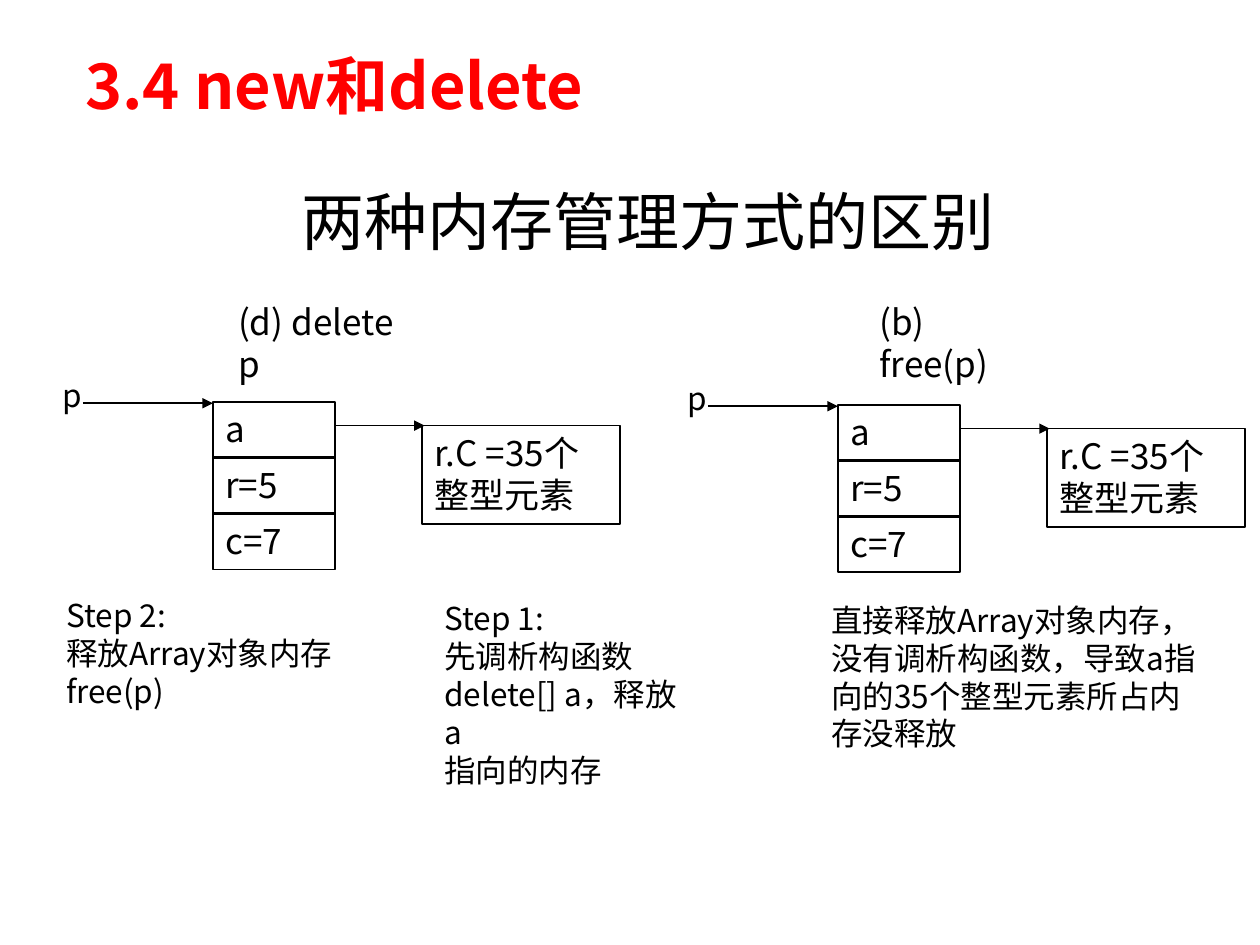
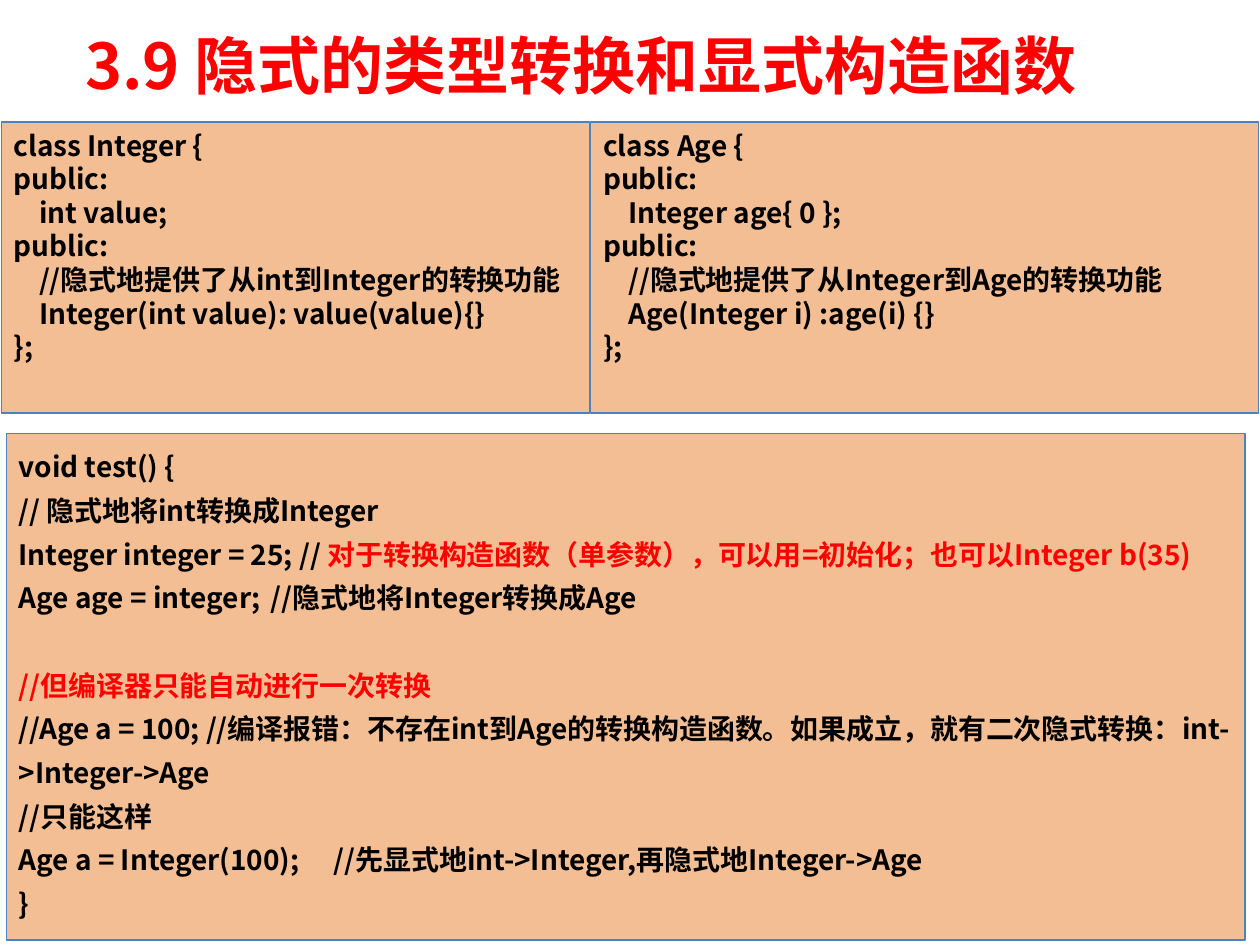
from dataclasses import dataclass

from lxml import etree
from pptx import Presentation
from pptx.dml.color import RGBColor
from pptx.enum.shapes import MSO_CONNECTOR, MSO_SHAPE
from pptx.enum.text import MSO_ANCHOR, PP_ALIGN
from pptx.oxml.ns import qn
from pptx.util import Cm, Pt

RECTANGLE = MSO_SHAPE.RECTANGLE
STRAIGHT = MSO_CONNECTOR.STRAIGHT
TOP, MIDDLE = MSO_ANCHOR.TOP, MSO_ANCHOR.MIDDLE
LEFT, CENTER = PP_ALIGN.LEFT, PP_ALIGN.CENTER


@dataclass(frozen=True)
class Theme:
    black: RGBColor = RGBColor(0x00, 0x00, 0x00)
    red: RGBColor = RGBColor(0xFF, 0x00, 0x00)
    code_fill: RGBColor = RGBColor(0xE4, 0x6C, 0x0A)
    code_line: RGBColor = RGBColor(0x4F, 0x81, 0xBD)
    code_opacity: int = 44
    title_font: str = "Noto Sans CJK SC"
    body_font: str = "Noto Sans CJK JP"
    heading: int = 36
    cell: int = 20
    note: int = 18
    code: int = 16


@dataclass(frozen=True)
class Red:
    """Marks a span of text to be shown in red."""
    text: str


class SlideBuilder:
    def __init__(self, deck, theme):
        self.deck = deck
        self.theme = theme
        self.page = None

    def new_page(self, title, title_top):
        self.page = self.deck.slides.add_slide(self.deck.slide_layouts[6])
        self.text((1.47, title_top, 21.59, 2.34), [title], self.theme.heading,
                  font=self.theme.title_font, color=self.theme.red, bold=True,
                  anchor=MIDDLE)

    def set_lines(self, shape, lines, size, font=None, color=None, bold=False,
                  anchor=TOP, align=LEFT, spacing=None, wrap=True):
        """Fill a shape; a line is a string, a Red, or a list of both.

        An empty line becomes space before the paragraph that follows it.
        """
        frame = shape.text_frame
        frame.word_wrap = wrap
        frame.vertical_anchor = anchor
        para, gap = frame.paragraphs[0], 0
        for index, line in enumerate(lines):
            if not line:
                gap += 1.2 * size * (spacing or 1)
                continue
            if index:
                para = frame.add_paragraph()
            para.alignment = align
            if spacing:
                para.line_spacing = spacing
            if gap:
                para.space_before, gap = Pt(gap), 0
            para.font.size = Pt(size)
            para.font.bold = bold
            para.font.name = font or self.theme.body_font
            para.font.color.rgb = color or self.theme.black
            east_asian = etree.SubElement(para.font._element, qn("a:ea"))
            east_asian.set("typeface", para.font.name)
            for part in line if isinstance(line, list) else [line]:
                span = para.add_run()
                if isinstance(part, Red):
                    span.text = part.text
                    span.font.color.rgb = self.theme.red
                else:
                    span.text = part

    def text(self, area, lines, size, **style):
        box = self.page.shapes.add_textbox(*map(Cm, area))
        self.set_lines(box, lines, size, **style)

    def rectangle(self, area, line_color, line_width):
        box = self.page.shapes.add_shape(RECTANGLE, *map(Cm, area))
        box.shadow.inherit = False
        box.line.color.rgb = line_color
        box.line.width = Pt(line_width)
        return box

    def cell(self, area, lines):
        box = self.rectangle(area, self.theme.black, 1)
        box.fill.background()
        self.set_lines(box, lines, self.theme.cell)

    def code(self, area, lines, spacing=None):
        box = self.rectangle(area, self.theme.code_line, 0.75)
        box.fill.solid()
        box.fill.fore_color.rgb = self.theme.code_fill
        color = box._element.spPr.find(qn("a:solidFill"))[0]
        alpha = etree.SubElement(color, qn("a:alpha"))
        alpha.set("val", str(self.theme.code_opacity * 1000))
        self.set_lines(box, lines, self.theme.code, bold=True, spacing=spacing)

    def arrow(self, start, end, y):
        line = self.page.shapes.add_connector(
            STRAIGHT, Cm(start), Cm(y), Cm(end), Cm(y))
        line.line.color.rgb = self.theme.black
        line.line.width = Pt(1)
        properties = line._element.spPr
        outline = properties.find(qn("a:ln"))
        etree.SubElement(outline, qn("a:tailEnd")).set("type", "triangle")
        etree.SubElement(properties, qn("a:effectLst"))


def memory_diagram(builder, left, top):
    """Pointer p, the Array object and the elements that a points to."""
    width, height, pitch = 2.46, 1.14, 1.12
    for row, field in enumerate(["a", "r=5", "c=7"]):
        builder.cell((left, top + row * pitch, width, height), [field])
    builder.cell((left + 4.22, top + 0.48, 3.99, 1.98), ["r.C =35个", "整型元素"])
    builder.text((left - 3.28, top - 0.64, 0.89, 1.02), ["p"],
                 builder.theme.note, wrap=False)
    builder.arrow(left - 2.62, left, top + 0.03)
    builder.arrow(left + width, left + 4.27, top + 0.48)


def new_and_delete(builder):
    theme = builder.theme
    builder.new_page("3.4 new和delete", 0.53)
    builder.text((2.26, 3.12, 21.59, 2.64), ["两种内存管理方式的区别"],
                 theme.heading, anchor=MIDDLE, align=CENTER)
    memory_diagram(builder, 4.29, 8.1)
    memory_diagram(builder, 16.89, 8.16)
    builder.text((4.55, 5.94, 4.06, 1.12), ["(d) delete p"], theme.cell)
    builder.text((17.48, 5.94, 3.68, 1.12), ["(b) free(p)"], theme.cell)
    notes = [
        ((1.09, 11.89, 7.01, 2.54),
         ["Step 2:", "释放Array对象内存", "free(p)"]),
        ((8.71, 11.96, 5.21, 4.11),
         ["Step 1:", "先调析构函数", "delete[] a，释放a", "指向的内存"]),
        ((16.51, 11.99, 8, 3.3),
         ["直接释放Array对象内存，没有调析构函数，"
          "导致a指向的35个整型元素所占内存没释放"]),
    ]
    for area, lines in notes:
        builder.text(area, lines, theme.note)


def implicit_conversion(builder):
    builder.new_page("3.9 隐式的类型转换和显式构造函数", 0.13)
    builder.code((0.13, 8.74, 24.97, 10.21), [
        "void test() {",
        "// 隐式地将int转换成Integer",
        ["Integer integer = 25; // ",
         Red("对于转换构造函数（单参数），可以用=初始化；也可以Integer b(35)")],
        "Age age = integer; \t//隐式地将Integer转换成Age",
        "",
        Red("//但编译器只能自动进行一次转换"),
        "//Age a = 100; //编译报错：不存在int到Age的转换构造函数。"
        "如果成立，就有二次隐式转换：int->Integer->Age",
        "//只能这样",
        "Age a = Integer(100); \t//先显式地int->Integer,再隐式地Integer->Age",
        "}",
    ], spacing=1.3)
    builder.code((0.03, 2.46, 11.86, 5.87), [
        "class Integer {",
        "public:",
        "    int value;",
        "public:",
        "    //隐式地提供了从int到Integer的转换功能",
        "    Integer(int value): value(value){}",
        "};",
    ])
    builder.code((11.91, 2.46, 13.46, 5.87), [
        "class Age {",
        "public:",
        "    Integer age{ 0 };",
        "public:",
        "    //隐式地提供了从Integer到Age的转换功能",
        "    Age(Integer i) :age(i) {}",
        "};",
    ])


def main():
    deck = Presentation()
    deck.slide_width, deck.slide_height = Cm(25.4), Cm(19.05)
    builder = SlideBuilder(deck, Theme())
    new_and_delete(builder)
    implicit_conversion(builder)
    deck.save("out.pptx")


if __name__ == "__main__":
    main()
